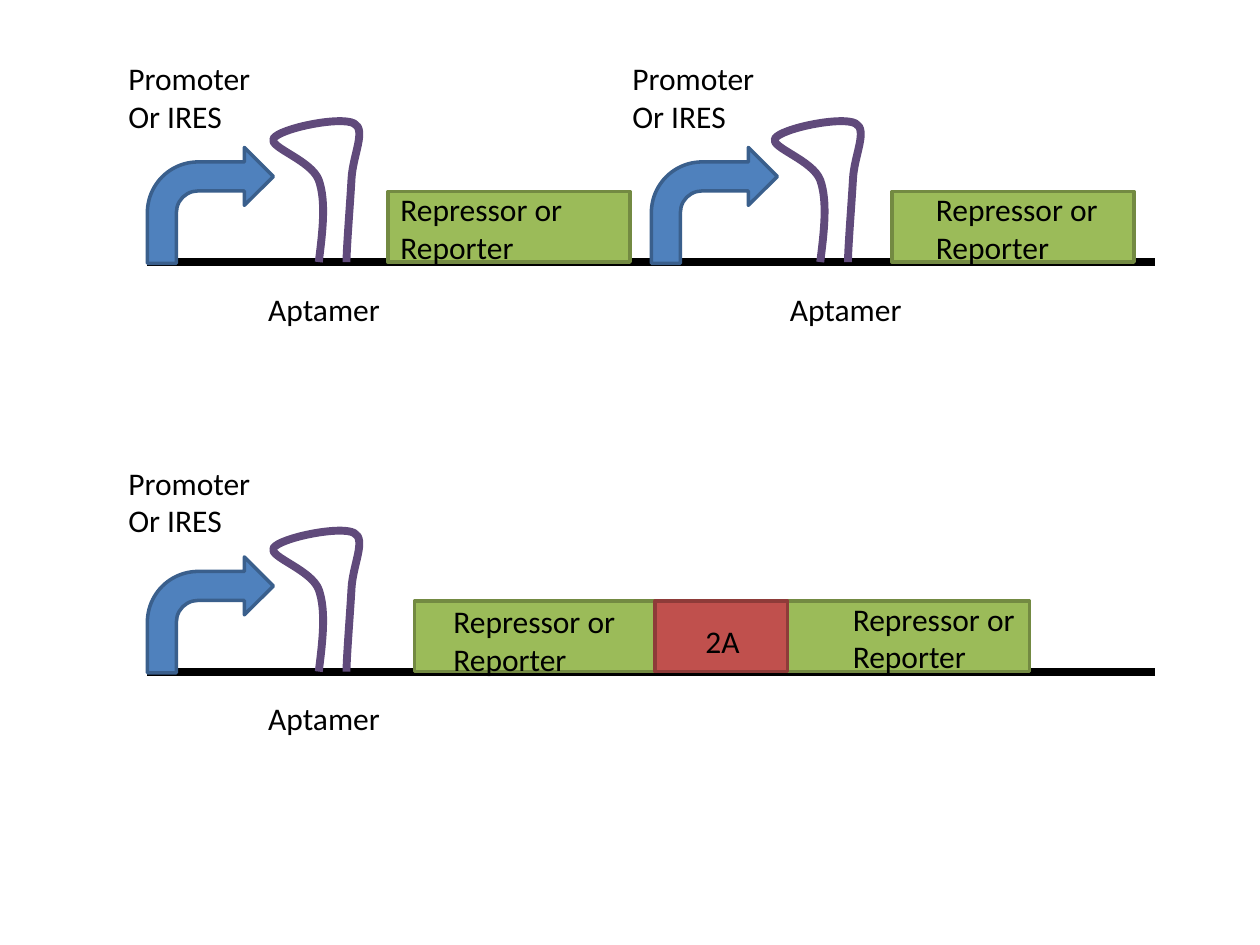
from pptx import Presentation
from pptx.enum import shapes, text
from pptx.dml.color import RGBColor
from pptx.oxml.ns import qn
from pptx.util import Inches, Pt
from lxml import etree

# Content: baselines, and x positions of the parts standing on each
PROMOTER = ["Promoter", "Or IRES"]
APTAMER = ["Aptamer"]
GENE = ["Repressor or Reporter"]
LINKER = ["2A"]
CONSTRUCTS = [
    dict(base=2.08, arrows=[1.17, 5.17], aptamers=[2.17, 6.15],
         genes=[3.08, 7.08], linkers=[],
         labels=[(PROMOTER, 0.92, -1.66), (PROMOTER, 4.92, -1.66),
                 (APTAMER, 2.03, 0.17), (APTAMER, 6.17, 0.17),
                 (GENE, 3.08, -0.62), (GENE, 7.33, -0.62)]),
    dict(base=5.33, arrows=[1.17], aptamers=[2.17],
         genes=[3.29, 6.25], linkers=[5.2],
         labels=[(PROMOTER, 0.92, -1.7), (APTAMER, 2.03, 0.17),
                 (GENE, 3.5, -0.6), (GENE, 6.67, -0.62),
                 (LINKER, 5.5, -0.44)]),
]

# Aptamer hairpin: start point, then three Bezier points per segment
HAIRPIN_SIZE = (0.68, 1.12)
HAIRPIN = [(0.36, 1.12),
           (0.39, 0.88), (0.42, 0.64), (0.36, 0.47),
           (0.3, 0.31), (-0.04, 0.21), (0, 0.14),
           (0.05, 0.06), (0.53, -0.04), (0.64, 0.02),
           (0.74, 0.07), (0.63, 0.27), (0.62, 0.46),
           (0.61, 0.64), (0.58, 1.01), (0.58, 1.12)]

THEME = dict(font="Calibri", size=18, ink="000000", hairpin="604A7B",
             arrow=("4F81BD", "3A5F8C"), gene=("9BBB59", "738A42"),
             linker=("C0504D", "8E3B39"), thick=4.5, thin=2)
BLOCK_H = 0.56
TRACK = (1.17, 9.17)

prs = Presentation()
prs.slide_width, prs.slide_height = Inches(10), Inches(7.5)
s = prs.slides.add_slide(prs.slide_layouts[6])


def set_line(sp, color, width):
    sp.line.color.rgb = RGBColor.from_string(color)
    sp.line.width = Pt(width)


def add_block(kind, x, base, w, h, colors):
    sp = s.shapes.add_shape(kind, *map(Inches, (x, base - h, w, h)))
    sp.shadow.inherit = False
    sp.fill.solid()
    sp.fill.fore_color.rgb = RGBColor.from_string(colors[0])
    set_line(sp, colors[1], THEME["thin"])


def add_track(base):
    c = s.shapes.add_connector(shapes.MSO_CONNECTOR.STRAIGHT, Inches(TRACK[0]),
                               Inches(base), Inches(TRACK[1]), Inches(base))
    set_line(c, THEME["ink"], THEME["thick"])
    etree.SubElement(c._element.spPr, qn("a:effectLst"))


def add_hairpin(x, base):
    w, h = HAIRPIN_SIZE
    pts = [(Inches(px), Inches(py)) for px, py in HAIRPIN]
    builder = s.shapes.build_freeform(*pts[0])
    builder.add_line_segments(pts[1:], close=False)
    sp = builder.convert_to_shape()
    sp.left, sp.top = Inches(x), Inches(base - h)
    sp.width, sp.height = Inches(w), Inches(h)
    # Turn each three straight segments into one curve
    outline = sp._element.spPr.find(".//" + qn("a:path"))
    outline.set("w", str(Inches(w)))
    outline.set("h", str(Inches(h)))
    for pt, (px, py) in zip(outline.iter(qn("a:pt")), pts):
        pt.set("x", str(px))
        pt.set("y", str(py))
    segments = outline.findall(qn("a:lnTo"))
    for i in range(0, len(segments), 3):
        curve = etree.SubElement(outline, qn("a:cubicBezTo"))
        for seg in segments[i:i + 3]:
            curve.append(seg[0])
            outline.remove(seg)
    sp.shadow.inherit = False
    sp.fill.background()
    set_line(sp, THEME["hairpin"], THEME["thick"])


def add_label(lines, x, y):
    w = 1.5 if lines in (GENE, LINKER) else 1.25
    h = 0.4 if lines in (APTAMER, LINKER) else 0.71
    tf = s.shapes.add_textbox(*map(Inches, (x, y, w, h))).text_frame
    tf.word_wrap = True
    tf.auto_size = text.MSO_AUTO_SIZE.SHAPE_TO_FIT_TEXT
    tf.text = "\n".join(lines)
    for p in tf.paragraphs:
        p.font.name, p.font.size = THEME["font"], Pt(THEME["size"])
        p.font.color.rgb = RGBColor.from_string(THEME["ink"])


# Draw each construct from its track upwards, labels last
SHAPE = shapes.MSO_SHAPE
for con in CONSTRUCTS:
    base = con["base"]
    add_track(base)
    for x in con["arrows"]:
        add_block(SHAPE.BENT_ARROW, x, base + 0.01, 1, 0.92, THEME["arrow"])
    for x in con["aptamers"]:
        add_hairpin(x, base)
    for x in con["genes"]:
        add_block(SHAPE.RECTANGLE, x, base, 1.92, BLOCK_H, THEME["gene"])
    for x in con["linkers"]:
        add_block(SHAPE.RECTANGLE, x, base, 1.05, BLOCK_H, THEME["linker"])
    for lines, x, dy in con["labels"]:
        add_label(lines, x, base + dy)

prs.save("out.pptx")
